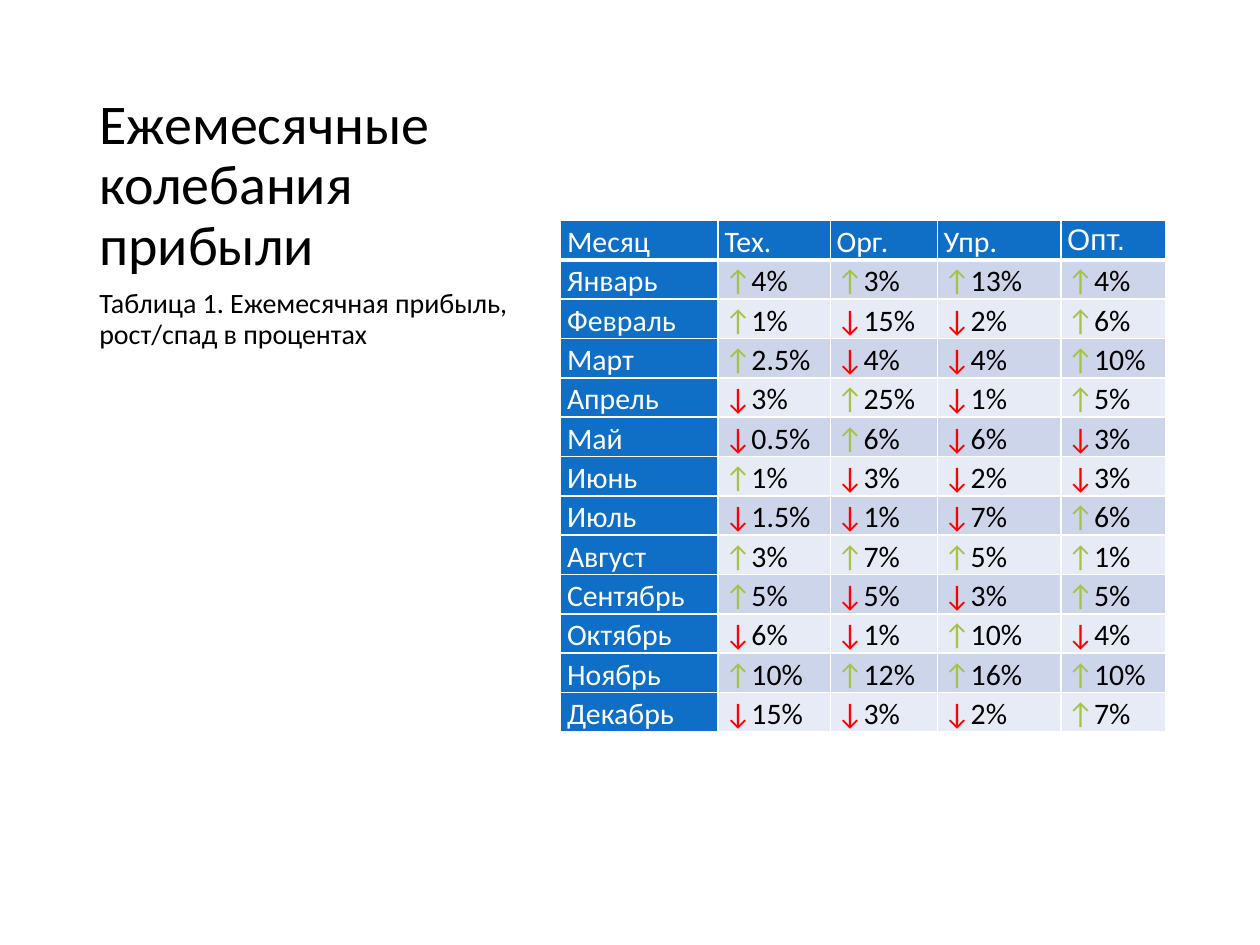
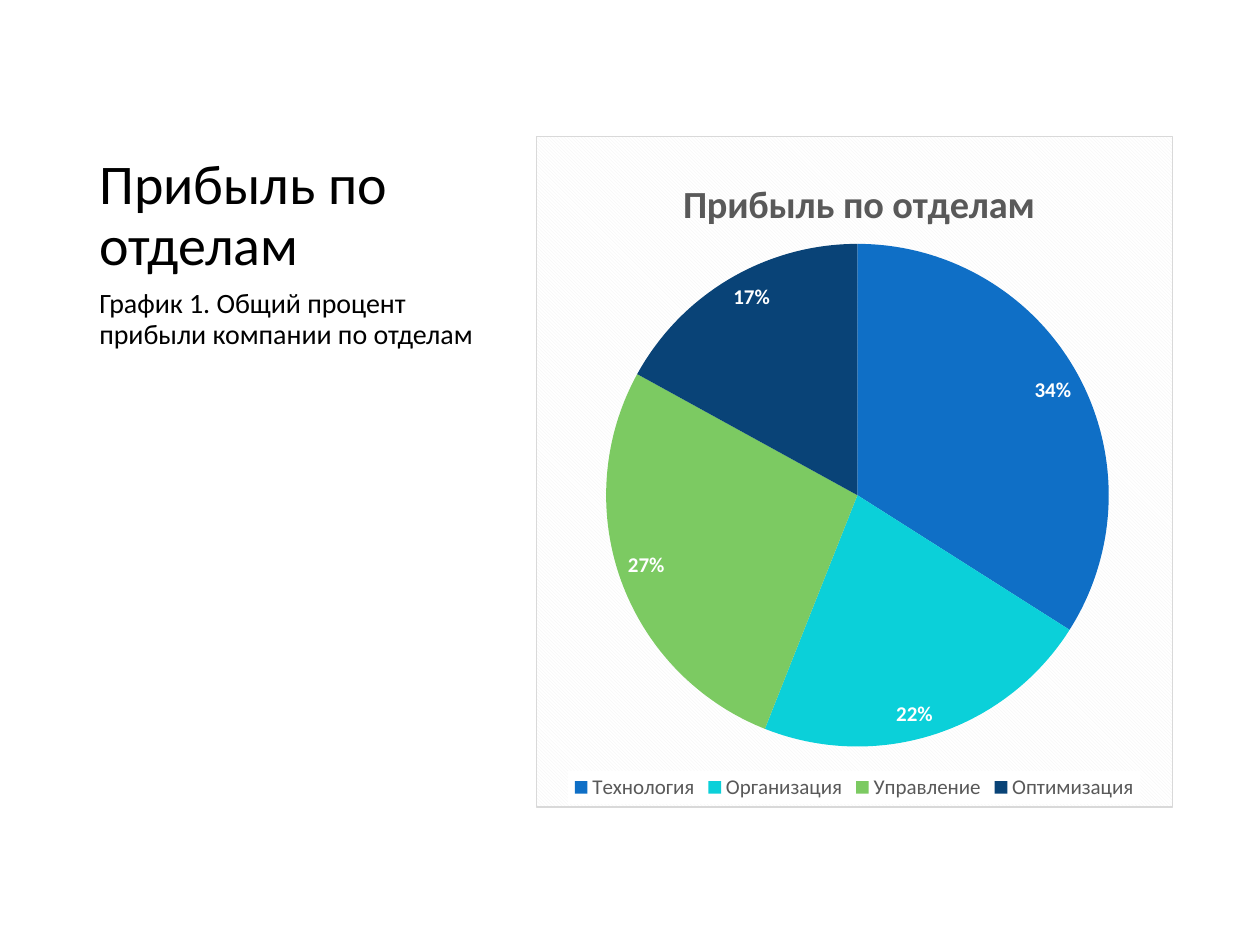
from collections import namedtuple
from dataclasses import dataclass

from lxml.etree import SubElement
from pptx import Presentation
from pptx.chart.data import CategoryChartData
from pptx.dml.color import RGBColor
from pptx.enum.chart import XL_CHART_TYPE, XL_LABEL_POSITION, XL_LEGEND_POSITION
from pptx.enum.text import MSO_ANCHOR
from pptx.oxml import parse_xml
from pptx.oxml.ns import nsdecls, qn
from pptx.util import Inches, Pt


@dataclass(frozen=True)
class Theme:
    font: str = "Calibri"
    alternate_font: str = "Arial"
    text: str = "000000"
    light: str = "FFFFFF"
    accent: str = "0F6FC6"
    bands: tuple = ("CCD5EA", "E7EBF5")
    rise: str = "A5C249"
    fall: str = "FF0000"
    muted: str = "595959"
    pattern: str = "F2F2F2"
    frame: str = "D9D9D9"
    slices: tuple = ("0F6FC6", "0BD0D9", "7CCA62", "094377")
    title_size: int = 32
    body_size: int = 16
    table_size: int = 17
    chart_title_size: int = 22
    chart_size: int = 12


THEME = Theme()
Box = namedtuple("Box", "left top width height")

# The slide is a grid of 100 columns by 75 rows
SLIDE_WIDTH, SLIDE_HEIGHT = Inches(10), Inches(7.5)
COLUMN, ROW = SLIDE_WIDTH / 100, SLIDE_HEIGHT / 75

CAPTION_BOX = Box(6.9, 5, 32.3, 59.2)
TABLE_BOX = Box(44.5, 17.5, 48, 40.3)
CHART_BOX = Box(42.5, 10.8, 50.6, 53.3)

DEPARTMENTS = ("Технология", "Организация", "Управление", "Оптимизация")
PROFIT_SHARES = (34, 22, 27, 17)
TABLE_COLUMNS = (12.5, 8.9, 8.5, 9.8, 8.3)
TABLE_HEADER = ("Месяц", "Тех.", "Орг.", "Упр.", "Опт.")
MONTHLY_CHANGES = {
    "Январь": "↑4% ↑3% ↑13% ↑4%",
    "Февраль": "↑1% ↓15% ↓2% ↑6%",
    "Март": "↑2.5% ↓4% ↓4% ↑10%",
    "Апрель": "↓3% ↑25% ↓1% ↑5%",
    "Май": "↓0.5% ↑6% ↓6% ↓3%",
    "Июнь": "↑1% ↓3% ↓2% ↓3%",
    "Июль": "↓1.5% ↓1% ↓7% ↑6%",
    "Август": "↑3% ↑7% ↑5% ↑1%",
    "Сентябрь": "↑5% ↓5% ↓3% ↑5%",
    "Октябрь": "↓6% ↓1% ↑10% ↓4%",
    "Ноябрь": "↑10% ↑12% ↑16% ↑10%",
    "Декабрь": "↓15% ↓3% ↓2% ↑7%",
}


def place(box):
    return (round(box.left * COLUMN), round(box.top * ROW),
            round(box.width * COLUMN), round(box.height * ROW))


def style_font(font, size, color, bold=False, name=THEME.font):
    font.name, font.size, font.bold = name, Pt(size), bold
    font.color.rgb = RGBColor.from_string(color)


def add_run(paragraph, text, size, color, bold=False, name=THEME.font):
    run = paragraph.add_run()
    run.text = text
    style_font(run.font, size, color, bold, name)


# Title and caption on the left
def add_text(slide, box, text, size, anchor, space_before=0):
    frame = slide.shapes.add_textbox(*place(box)).text_frame
    frame.word_wrap = True
    frame.vertical_anchor = anchor
    paragraph = frame.paragraphs[0]
    paragraph.line_spacing = 0.9
    paragraph.space_before = Pt(space_before)
    add_run(paragraph, text, size, THEME.text)


def add_caption(slide, box, title, body, extra_width=0):
    title_height = 17.5
    add_text(slide, box._replace(height=title_height), title,
             THEME.title_size, MSO_ANCHOR.BOTTOM)
    body_box = Box(box.left, box.top + title_height,
                   box.width + extra_width, box.height - title_height)
    add_text(slide, body_box, body, THEME.body_size, MSO_ANCHOR.TOP, 10)


# Table of monthly changes
def add_borders(cell, bottom_width):
    properties = cell._tc.get_or_add_tcPr()
    widths = {"lnL": 1, "lnR": 1, "lnT": 1, "lnB": bottom_width}
    for index, (side, width) in enumerate(widths.items()):
        properties.insert(index, parse_xml(
            f'<a:{side} {nsdecls("a")} w="{Pt(width)}"><a:solidFill>'
            f'<a:srgbClr val="{THEME.light}"/></a:solidFill></a:{side}>'))


def fill_cell(cell, color, runs, bottom_width=1):
    cell.margin_left = cell.margin_right = Inches(0.05)
    cell.margin_top = cell.margin_bottom = 0
    cell.fill.solid()
    cell.fill.fore_color.rgb = RGBColor.from_string(color)
    paragraph = cell.text_frame.paragraphs[0]
    paragraph.line_spacing = 1.1
    for text, text_color, name in runs:
        add_run(paragraph, text, THEME.table_size, text_color, name=name)
    add_borders(cell, bottom_width)


def add_changes_table(slide, box):
    row_count = len(MONTHLY_CHANGES) + 1
    table = slide.shapes.add_table(row_count, len(TABLE_HEADER), *place(box)).table
    table.first_row = table.horz_banding = False
    for column, width in zip(table.columns, TABLE_COLUMNS):
        column.width = round(width * COLUMN)
    for row in table.rows:
        row.height = round(box.height * ROW / row_count)

    for index, label in enumerate(TABLE_HEADER):
        last = index == len(TABLE_HEADER) - 1
        name = THEME.alternate_font if last else THEME.font
        fill_cell(table.cell(0, index), THEME.accent,
                  [(label, THEME.light, name)], bottom_width=3)

    for row, (month, changes) in enumerate(MONTHLY_CHANGES.items(), 1):
        fill_cell(table.cell(row, 0), THEME.accent,
                  [(month, THEME.light, THEME.font)])
        band = THEME.bands[(row - 1) % 2]
        for column, change in enumerate(changes.split(), 1):
            arrow, percent = change[0], change[1:]
            arrow_color = THEME.rise if arrow == "↑" else THEME.fall
            fill_cell(table.cell(row, column), band,
                      [(arrow, arrow_color, THEME.font),
                       (percent, THEME.text, THEME.font)])


# Pie of profit by department
def set_layout(element, index, target=None, **shares):
    for old_layout in element.findall(qn("c:layout")):
        element.remove(old_layout)
    layout = parse_xml(f'<c:layout {nsdecls("c")}><c:manualLayout/></c:layout>')
    settings = {"layoutTarget": target} if target else {}
    settings.update(xMode="edge", yMode="edge", **shares)
    for tag, value in settings.items():
        SubElement(layout[0], qn(f"c:{tag}")).set("val", str(value))
    element.insert(index, layout)


def chart_background():
    return parse_xml(
        f'<c:spPr {nsdecls("c", "a")}><a:pattFill prst="dkDnDiag">'
        f'<a:fgClr><a:srgbClr val="{THEME.pattern}"/></a:fgClr>'
        f'<a:bgClr><a:srgbClr val="{THEME.light}"/></a:bgClr></a:pattFill>'
        f'<a:ln w="{Pt(0.75)}"><a:solidFill><a:srgbClr val="{THEME.frame}"/>'
        '</a:solidFill></a:ln></c:spPr>')


def legend_background():
    return parse_xml(
        f'<c:spPr {nsdecls("c", "a")}><a:solidFill>'
        f'<a:srgbClr val="{THEME.light}"/></a:solidFill></c:spPr>')


def add_profit_chart(slide, box, title):
    data = CategoryChartData()
    data.categories = DEPARTMENTS
    data.add_series("Series 1", PROFIT_SHARES)
    chart = slide.shapes.add_chart(XL_CHART_TYPE.PIE, *place(box), data).chart
    style_font(chart.font, 10, THEME.text)
    chart_element = chart.element.find(qn("c:chart"))
    chart_element.addnext(chart_background())

    # Title
    chart.has_title = True
    paragraph = chart.chart_title.text_frame.paragraphs[0]
    add_run(paragraph, title, THEME.chart_title_size, THEME.muted, bold=True)
    set_layout(chart_element.find(qn("c:title")), 1, x=0.22, y=0.05)

    # Slices and their labels
    plot = chart.plots[0]
    plot.vary_by_categories = True
    for index, color in enumerate(THEME.slices):
        fill = plot.series[0].points[index].format.fill
        fill.solid()
        fill.fore_color.rgb = RGBColor.from_string(color)
    plot.has_data_labels = True
    labels = plot.data_labels
    labels.show_percentage, labels.show_value = True, False
    labels.number_format, labels.number_format_is_linked = "0%", False
    labels.position = XL_LABEL_POSITION.INSIDE_END
    style_font(labels.font, THEME.chart_size, THEME.light, bold=True)
    set_layout(chart_element.find(qn("c:plotArea")), 0, "inner",
               x=0.11, y=0.16, w=0.79, h=0.75)

    # Legend
    chart.has_legend = True
    legend = chart.legend
    legend.position = XL_LEGEND_POSITION.BOTTOM
    legend.include_in_layout = False
    style_font(legend.font, THEME.chart_size, THEME.muted)
    legend_element = chart_element.find(qn("c:legend"))
    legend_element.find(qn("c:overlay")).addnext(legend_background())
    set_layout(legend_element, 1, x=0.05, y=0.95, w=0.9, h=0.05)


def build_table_slide(slide):
    add_caption(slide, CAPTION_BOX, "Ежемесячные колебания прибыли",
                "Таблица 1. Ежемесячная прибыль, рост/спад в процентах",
                extra_width=2.6)
    add_changes_table(slide, TABLE_BOX)


def build_chart_slide(slide):
    title = "Прибыль по отделам"
    add_caption(slide, CAPTION_BOX, title,
                "График 1. Общий процент прибыли компании по отделам")
    add_profit_chart(slide, CHART_BOX, title)


def main():
    presentation = Presentation()
    presentation.slide_width, presentation.slide_height = SLIDE_WIDTH, SLIDE_HEIGHT
    blank_layout = presentation.slide_layouts[6]
    for build in (build_table_slide, build_chart_slide):
        build(presentation.slides.add_slide(blank_layout))
    presentation.save("out.pptx")


if __name__ == "__main__":
    main()
